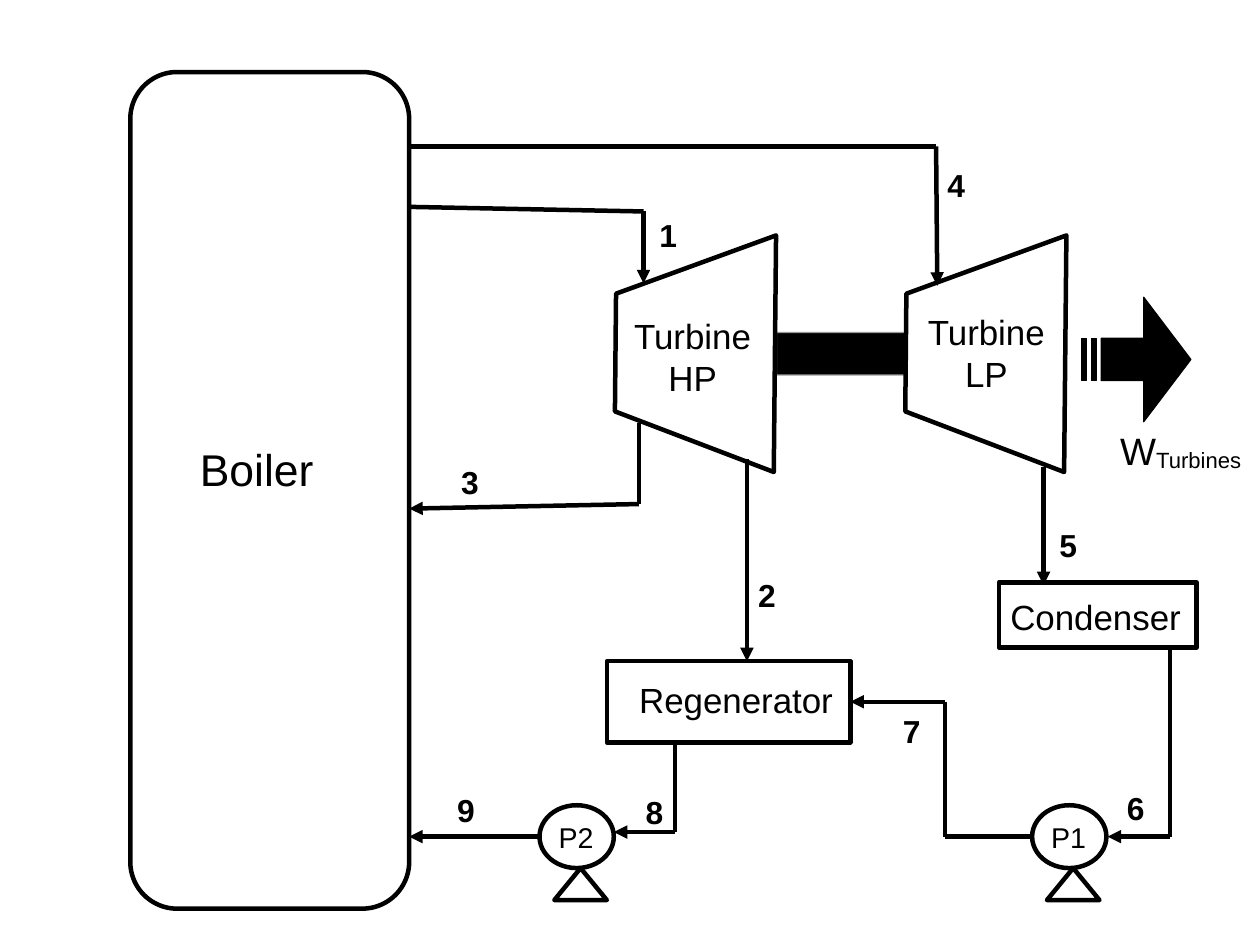
from dataclasses import dataclass

from lxml import etree
from pptx import Presentation
from pptx.dml.color import RGBColor
from pptx.enum.shapes import MSO_CONNECTOR, MSO_SHAPE
from pptx.enum.text import MSO_AUTO_SIZE, PP_ALIGN
from pptx.oxml.ns import qn
from pptx.util import Cm, Inches, Pt

STRAIGHT = MSO_CONNECTOR.STRAIGHT
RECTANGLE, ROUNDED = MSO_SHAPE.RECTANGLE, MSO_SHAPE.ROUNDED_RECTANGLE
ELLIPSE, TRIANGLE = MSO_SHAPE.OVAL, MSO_SHAPE.ISOSCELES_TRIANGLE
LEFT, CENTER = PP_ALIGN.LEFT, PP_ALIGN.CENTER
RIGHT_SIDE = 3

SLIDE_WIDTH, SLIDE_HEIGHT = Cm(28), Cm(21)
CELL = Inches(0.1)
LINE_WIDTH = Pt(2.83)
COLORS = {"ink": "000000", "paper": "FFFFFF", "shaft_edge": "999999"}
FRAME_FORMAT = {
    "margin_left": Inches(0.1), "margin_right": Inches(0.1),
    "margin_top": Inches(0.05), "margin_bottom": Inches(0.05),
    "auto_size": MSO_AUTO_SIZE.SHAPE_TO_FIT_TEXT,
}
Point = tuple[float, float]


@dataclass
class Box:
    kind: int
    left: float
    top: float
    width: float
    height: float


@dataclass
class Label:
    lines: list[str]
    left: float
    top: float
    width: float
    height: float
    size: float
    align: int = CENTER
    bold: bool = False
    wrap: bool = False
    subscript: str = ""


@dataclass
class Pipe:
    """A run of straight segments with an arrowhead at its end."""
    points: list[Point]
    target: str = ""


@dataclass
class StripedArrow:
    left: float
    top: float
    width: float
    height: float
    edge: str


BOILER = Box(ROUNDED, 11.4, 6.3, 24.4, 73.2)
BOILER_CORNER = 0.168
BOXES = {
    "regenerator": Box(RECTANGLE, 53.1, 57.85, 21.3, 7.1),
    "condenser": Box(RECTANGLE, 87.4, 50.95, 17.3, 5.7),
}
ARROWS = [
    StripedArrow(62.4, 25.5, 30.5, 10.9, "shaft_edge"),
    StripedArrow(94.6, 26, 9.6, 10.9, "ink"),
]
TURBINE_LEFTS, TURBINE_TOP = [53.8, 79.2], 20.6
TURBINE_OUTLINE = [(14.1, 0), (13.9, 20.7), (0, 15.4), (0.1, 5.1)]
PUMPS = {"P1": 90.3, "P2": 47.2}
PUMP_TOP = 70.45

PIPES = [
    Pipe([(35.8, 18.1), (56.3, 18.5), (56.3, 24.8)]),
    Pipe([(65.35, 40.2), (65.35, 57.85)]),
    Pipe([(55.9, 37), (55.9, 44.1), (35.8, 44.5)]),
    Pipe([(35.6, 12.8), (81.9, 12.8), (82, 25)]),
    Pipe([(91.3, 40.9), (91.3, 51.2)]),
    Pipe([(102.35, 56.9), (102.35, 73.2), (96.9, 73.2)]),
    Pipe([(90.3, 73.2), (82.7, 73.2), (82.7, 61.4), (74.4, 61.4)], "regenerator"),
    Pipe([(59.05, 65), (59.05, 72.8), (53.7, 72.8)]),
    Pipe([(47.2, 73.2), (35.8, 73.2)]),
]
NUMBER_PLACES = [
    (56.7, 18.4), (65.35, 49.85), (39.35, 40), (81.9, 14), (91.7, 45.5),
    (97.6, 68.5), (78, 61.75), (55.5, 68.85), (39, 68.7),
]
LABELS = [
    Label(["Boiler"], 16.5, 38.2, 15.8, 5.3, 28, LEFT),
    Label(["Turbine", "HP"], 54.1, 27, 13, 8.3, 22),
    Label(["Turbine", "LP"], 79.8, 26.65, 13, 8.3, 22),
    Label(["W"], 96.4, 36.9, 13.8, 5.8, 24, wrap=True, subscript="Turbines"),
    Label(["Regenerator"], 53.9, 58.85, 21, 5.7, 22),
    Label(["Condenser"], 87.4, 51.6, 16.9, 5.7, 22),
]
LABELS += [Label([name], left + 0.2, PUMP_TOP + 0.8, 6, 3.9, 18) for name, left in PUMPS.items()]
LABELS += [
    Label([str(number)], left, top, 3.5, 4.1, 20, LEFT, bold=True)
    for number, (left, top) in enumerate(NUMBER_PLACES, start=1)
]


def grid(*cells: float) -> list[int]:
    return [round(cell * CELL) for cell in cells]


def color(name: str) -> RGBColor:
    return RGBColor.from_string(COLORS[name])


def paint(shape, fill: str = "paper", edge: str = "ink", width: int = LINE_WIDTH) -> None:
    shape.shadow.inherit = False
    shape.fill.solid()
    shape.fill.fore_color.rgb = color(fill)
    shape.line.color.rgb = color(edge)
    shape.line.width = width
    etree.SubElement(shape.line._get_or_add_ln(), qn("a:round"))


def draw_box(slide, box: Box):
    shape = slide.shapes.add_shape(box.kind, *grid(box.left, box.top, box.width, box.height))
    paint(shape)
    return shape


def draw_outline(slide, contours: list[list[Point]]):
    """Build one freeform from closed contours given in grid cells."""
    first, *others = [[grid(*point) for point in contour] for contour in contours]
    builder = slide.shapes.build_freeform(*first[0])
    builder.add_line_segments(first[1:], close=True)
    for contour in others:
        builder.move_to(*contour[0])
        builder.add_line_segments(contour[1:], close=True)
    return builder.convert_to_shape()


def draw_striped_arrow(slide, arrow: StripedArrow) -> None:
    stripe, neck, upper, lower = 1 / 22, 0.57, 0.33, 0.67
    contours = [[(neck, 0), (1, 0.5), (neck, 1), (neck, lower),
                 (4 * stripe, lower), (4 * stripe, upper), (neck, upper)]]
    for start in (0, 2 * stripe):
        end = start + stripe
        contours.append([(start, upper), (start, lower), (end, lower), (end, upper)])
    placed = [[(arrow.left + x * arrow.width, arrow.top + y * arrow.height) for x, y in contour]
              for contour in contours]
    paint(draw_outline(slide, placed), "ink", arrow.edge, 0)


def draw_pump(slide, left: float) -> None:
    draw_box(slide, Box(ELLIPSE, left, PUMP_TOP, 6.5, 5.5))
    draw_box(slide, Box(TRIANGLE, left + 1.3, PUMP_TOP + 5.5, 4.6, 2.8))


def draw_pipe(slide, pipe: Pipe, equipment: dict) -> None:
    for start, end in zip(pipe.points, pipe.points[1:]):
        segment = slide.shapes.add_connector(STRAIGHT, *grid(*start, *end))
        segment.line.color.rgb = color("ink")
        segment.line.width = LINE_WIDTH
        etree.SubElement(segment._element.spPr, qn("a:effectLst"))
    etree.SubElement(segment.line._get_or_add_ln(), qn("a:tailEnd"), type="triangle")
    if pipe.target:
        segment.end_connect(equipment[pipe.target], RIGHT_SIDE)


def add_run(paragraph, text: str, label: Label):
    run = paragraph.add_run()
    run.text = text
    for name, value in {"name": "Arial", "size": Pt(label.size), "bold": label.bold}.items():
        setattr(run.font, name, value)
    run.font.color.rgb = color("ink")
    return run


def draw_label(slide, label: Label) -> None:
    box = slide.shapes.add_textbox(*grid(label.left, label.top, label.width, label.height))
    frame = box.text_frame
    for name, value in {**FRAME_FORMAT, "word_wrap": label.wrap}.items():
        setattr(frame, name, value)
    for index, line in enumerate(label.lines):
        paragraph = frame.add_paragraph() if index else frame.paragraphs[0]
        paragraph.alignment = label.align
        add_run(paragraph, line, label)
    if label.subscript:
        run = add_run(paragraph, label.subscript, label)
        run._r.get_or_add_rPr().set("baseline", "-8000")


def main() -> None:
    presentation = Presentation()
    presentation.slide_width, presentation.slide_height = SLIDE_WIDTH, SLIDE_HEIGHT
    slide = presentation.slides.add_slide(presentation.slide_layouts[6])
    draw_box(slide, BOILER).adjustments[0] = BOILER_CORNER
    for arrow in ARROWS:
        draw_striped_arrow(slide, arrow)
    for left in TURBINE_LEFTS:
        paint(draw_outline(slide, [[(left + x, TURBINE_TOP + y) for x, y in TURBINE_OUTLINE]]))
    equipment = {name: draw_box(slide, box) for name, box in BOXES.items()}
    for left in PUMPS.values():
        draw_pump(slide, left)
    for pipe in PIPES:
        draw_pipe(slide, pipe, equipment)
    for label in LABELS:
        draw_label(slide, label)
    presentation.save("out.pptx")


if __name__ == "__main__":
    main()
